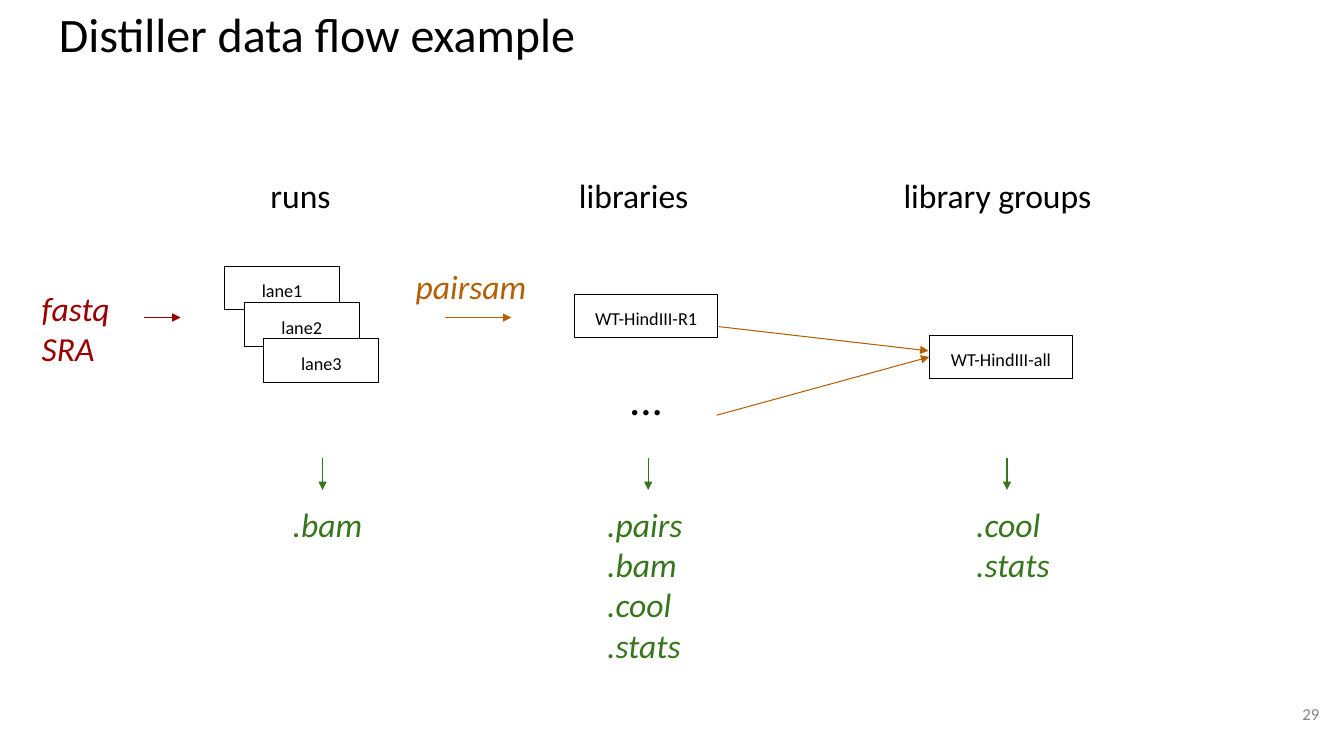
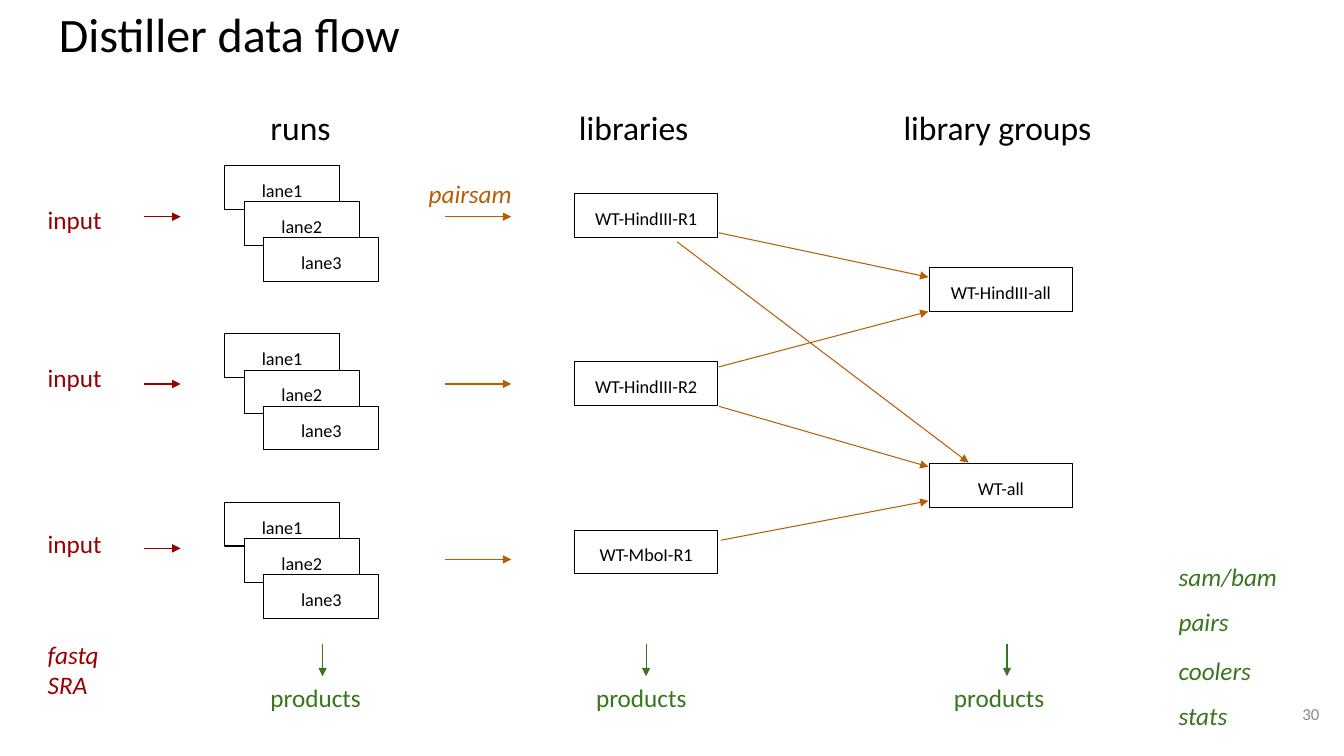
from lxml import etree
from pptx import Presentation
from pptx.dml.color import RGBColor
from pptx.enum import shapes, text
from pptx.oxml.ns import qn
from pptx.util import Pt

COLORS = {"ink": "000000", "paper": "FFFFFF", "input": "980000",
          "flow": "B45F06", "product": "38761D", "muted": "888888"}
FONT = "Calibri"
INSET = 9.6
LINE_HEIGHT = 1.22
STYLES = {  # name: (colour, font attributes)
    "title": ("ink", {"size": Pt(34.3)}),
    "heading": ("ink", {"size": Pt(24)}),
    "box": ("ink", {"size": Pt(13)}),
    "dots": ("ink", {"size": Pt(32)}),
    "number": ("muted", {"size": Pt(12)}),
    "input": ("input", {"size": Pt(18)}),
    "format": ("input", {"size": Pt(18), "italic": True}),
    "big format": ("input", {"size": Pt(24), "italic": True}),
    "flow": ("flow", {"size": Pt(18), "italic": True}),
    "big flow": ("flow", {"size": Pt(24), "italic": True}),
    "product": ("product", {"size": Pt(18)}),
    "file": ("product", {"size": Pt(18), "italic": True}),
    "big file": ("product", {"size": Pt(24), "italic": True}),
}

HEADINGS = [("runs", 183.6), ("libraries", 404), ("library groups", 635.8)]
LANES = ["lane1", "lane2", "lane3"]
LANE_X, LANE_W, LANE_DX, LANE_DY = 160.5, 82, 14, 25.8
LIBRARY_X, GROUP_X, SAMPLE_W, BOX_H = 410.4, 663.8, 102.2, 31.2
LIBRARY_DY = 20      # library box below the top of its lanes
ROW_STEP = 120.3
INPUT_ARROW, FLOW_ARROW = (103, 129), (318.2, 365.2)
DOWN_ARROW = 23

SLIDES = [
    {
        "title": "Distiller data flow example", "number": "29",
        "heading_y": 115.2, "rows_y": 190.2,
        "libraries": ["WT-HindIII-R1"],
        "groups": [("WT-HindIII-all", 239.4)],
        "arrow_rows": [(226.8, 226.8)],
        "links": [((511.9, 296.6), "WT-HindIII-all"),
                  ((513.4, 233.3), (663.2, 250.6))],
        "products_y": 327, "product_gap": 23, "product_style": "big file",
        "products": [(230.4, 199.4, [".bam"]),
                     (463, 424, [".pairs", ".bam", ".cool", ".stats"]),
                     (719.3, 687.6, [".cool", ".stats"])],
        "labels": [(["fastq", "SRA"], 20.2, 195.8, 80, "big format"),
                   (["pairsam"], 287.3, 180, 100, "big flow")],
        "dots_y": 254.9,
    },
    {
        "title": "Distiller data flow", "number": "30",
        "heading_y": 67, "rows_y": 118.2,
        "libraries": ["WT-HindIII-R1", "WT-HindIII-R2", "WT-MboI-R1"],
        "groups": [("WT-HindIII-all", 191.2), ("WT-all", 331.2)],
        "arrow_rows": [(154.8, 154.8), (274.3, 274.3), (391.7, 399.6)],
        "links": [((513.4, 166.3), (663.2, 198)),
                  ((513.4, 262.1), (663.2, 222.5)),
                  ((483.8, 172.8), (691.9, 330.5)),
                  ((513.4, 290.2), (663.2, 333.4)),
                  ((514.8, 385.9), (663.2, 357.8))],
        "products_y": 460, "product_gap": 18, "product_style": "product",
        "products": [(230.4, 183.6, ["products"]),
                     (461.5, 416.2, ["products"]),
                     (719.3, 671.8, ["products"])],
        "labels": [(["input"], 24.5, 136.1, 95, "input"),
                   (["input"], 24.5, 249.1, 95, "input"),
                   (["input"], 24.5, 367.9, 95, "input"),
                   (["fastq", "SRA"], 24.5, 447.1, 95, "format"),
                   (["pairsam"], 296.6, 118.1, 90, "flow"),
                   (["sam/bam"], 832.3, 391.7, 117, "file"),
                   (["pairs"], 832.3, 423.4, 117, "file"),
                   (["coolers"], 832.3, 458.6, 117, "file"),
                   (["stats"], 832.3, 490.3, 117, "file")],
    },
]


def rgb(name):
    return RGBColor.from_string(COLORS[name])


def fill_text(sp, lines, style, align="LEFT", spacing=None, **frame):
    color, font = STYLES[style]
    tf = sp.text_frame
    settings = {"word_wrap": True, "vertical_anchor": text.MSO_ANCHOR.TOP,
                "margin_left": Pt(INSET), "margin_right": Pt(INSET),
                "margin_top": Pt(INSET), "margin_bottom": 0, **frame}
    for key, value in settings.items():
        setattr(tf, key, value)
    for i, line in enumerate(lines):
        p = tf.add_paragraph() if i else tf.paragraphs[0]
        p.alignment = text.PP_ALIGN[align]
        if spacing:
            p.line_spacing = spacing
        r = p.add_run()
        r.text = line
        for key, value in {"name": FONT, **font}.items():
            setattr(r.font, key, value)
        r.font.color.rgb = rgb(color)


def add_text(s, lines, x, y, w, style, **options):
    """Add a text box just tall enough for its lines."""
    h = len(lines) * STYLES[style][1]["size"].pt * LINE_HEIGHT + 2 * INSET
    sp = s.shapes.add_textbox(Pt(x), Pt(y), Pt(w), Pt(h))
    fill_text(sp, lines, style, **options)


def add_box(s, label, x, y, w):
    sp = s.shapes.add_shape(shapes.MSO_SHAPE.RECTANGLE,
                            Pt(x), Pt(y), Pt(w), Pt(BOX_H))
    sp.shadow.inherit = False
    sp.fill.solid()
    sp.fill.fore_color.rgb = rgb("paper")
    sp.line.color.rgb = rgb("ink")
    sp.line.width = Pt(0.75)
    fill_text(sp, [label], "box", align="CENTER")
    return sp


def add_arrow(s, start, end, color):
    """Draw an arrow; end is a point, or a box joined at its left side."""
    joined = not isinstance(end, tuple)
    to = start if joined else end
    c = s.shapes.add_connector(shapes.MSO_CONNECTOR.STRAIGHT,
                               *(Pt(v) for v in (*start, *to)))
    if joined:
        c.end_connect(end, 1)
    c.line.color.rgb = rgb(color)
    c.line.width = Pt(0.75)
    etree.SubElement(c.line._get_or_add_ln(), qn("a:tailEnd"), type="triangle")
    etree.SubElement(c._element.spPr, qn("a:effectLst"))


def add_frame(s, data):
    """Add the title, column headings and slide number."""
    add_text(s, [data["title"]], 32.4, -1.4, 894, "title", spacing=0.9)
    for heading, x in HEADINGS:
        add_text(s, [heading], x, data["heading_y"], 213, "heading")
    add_text(s, [data["number"]], 907.5, 493.2, 42, "number", align="RIGHT",
             vertical_anchor=text.MSO_ANCHOR.MIDDLE, margin_left=Pt(7.2),
             margin_right=Pt(7.2), margin_bottom=Pt(INSET))


def add_rows(s, data):
    """Add one row per library: input arrow, lanes, flow arrow, library."""
    for row, library in enumerate(data["libraries"]):
        y = data["rows_y"] + row * ROW_STEP
        for i, lane in enumerate(LANES):
            add_box(s, lane, LANE_X + i * LANE_DX, y + i * LANE_DY, LANE_W)
        add_box(s, library, LIBRARY_X, y + LIBRARY_DY, SAMPLE_W)
        spans = [(INPUT_ARROW, "input"), (FLOW_ARROW, "flow")]
        for ((x1, x2), color), ay in zip(spans, data["arrow_rows"][row]):
            add_arrow(s, (x1, ay), (x2, ay), color)


def add_groups(s, data):
    groups = {name: add_box(s, name, GROUP_X, y, SAMPLE_W)
              for name, y in data["groups"]}
    for start, end in data["links"]:
        add_arrow(s, start, groups.get(end, end), "flow")


def add_products(s, data):
    y = data["products_y"]
    for arrow_x, text_x, lines in data["products"]:
        add_arrow(s, (arrow_x, y), (arrow_x, y + DOWN_ARROW), "product")
        add_text(s, lines, text_x, y + data["product_gap"], 95,
                 data["product_style"])


def main():
    prs = Presentation()
    prs.slide_width, prs.slide_height = Pt(960), Pt(540)
    for data in SLIDES:
        s = prs.slides.add_slide(prs.slide_layouts[6])
        add_frame(s, data)
        add_rows(s, data)
        add_groups(s, data)
        add_products(s, data)
        for label in data["labels"]:
            add_text(s, *label)
        if "dots_y" in data:
            add_text(s, ["..."], LIBRARY_X, data["dots_y"], SAMPLE_W, "dots",
                     align="CENTER")
    prs.save("out.pptx")


if __name__ == "__main__":
    main()
